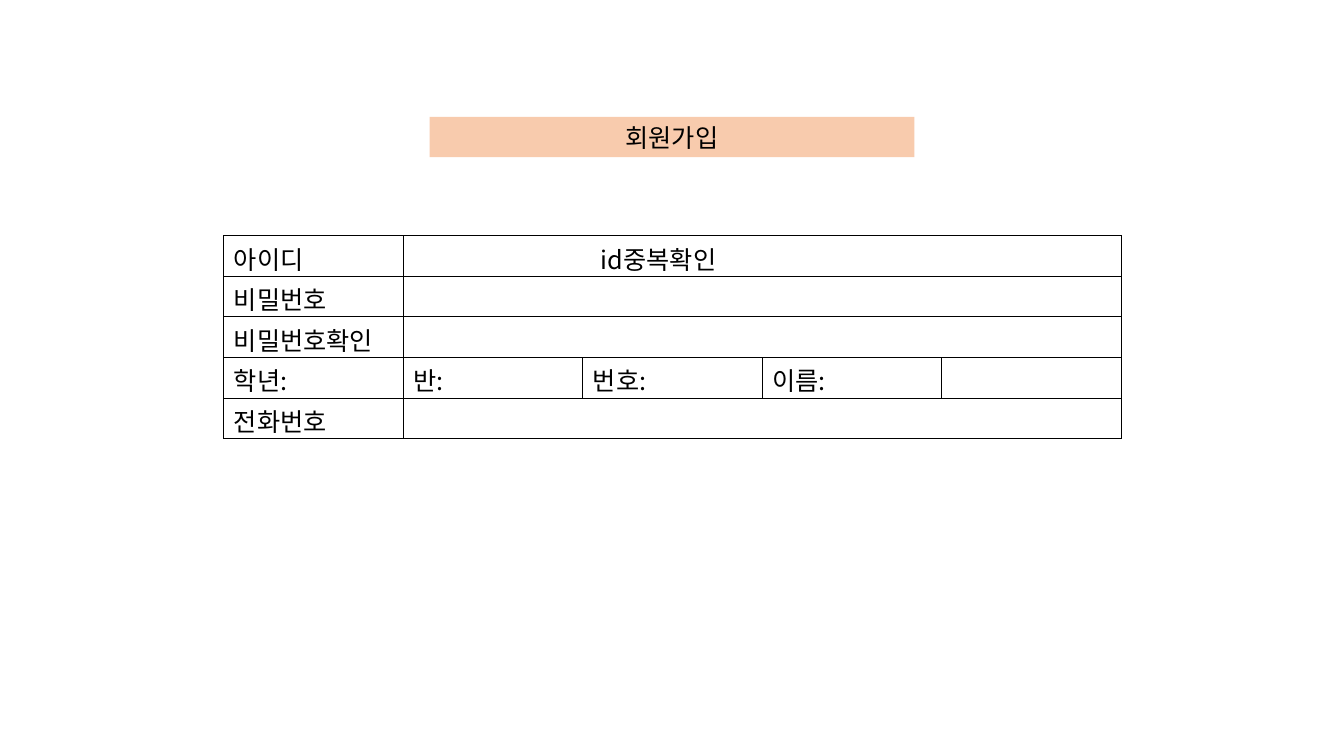
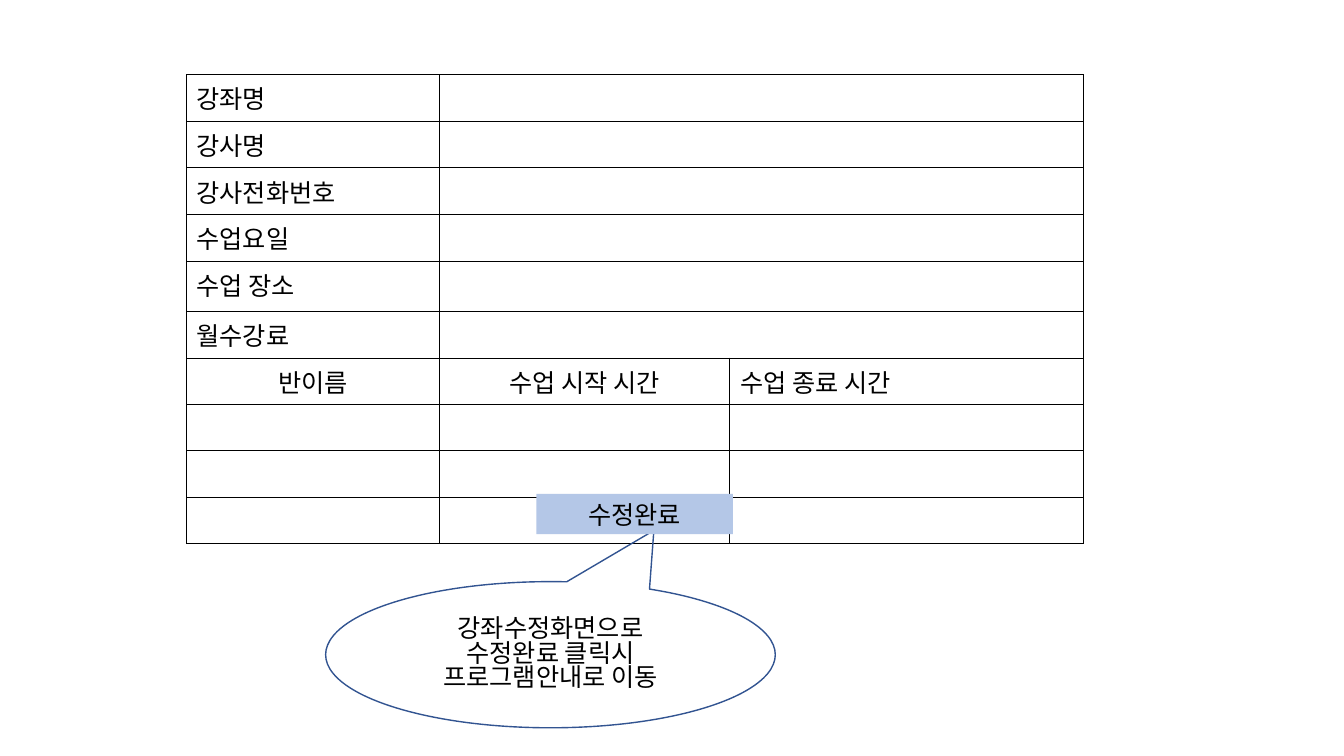
from dataclasses import dataclass

from lxml.etree import SubElement
from pptx import Presentation
from pptx.dml.color import RGBColor
from pptx.enum.shapes import MSO_SHAPE
from pptx.enum.text import MSO_ANCHOR, PP_ALIGN
from pptx.oxml import parse_xml
from pptx.oxml.ns import nsdecls, qn
from pptx.util import Emu, Pt

EMU_PER_PX = 9144


def px(length):
    return Emu(length * EMU_PER_PX)


@dataclass(frozen=True)
class Theme:
    font: str = "Noto Sans CJK KR"
    size: int = 18
    ink: str = "000000"
    peach: str = "F8CBAD"
    sky: str = "B4C7E7"
    outline: str = "325491"
    outline_width: float = 1
    border_width: float = 0.75
    callout_spacing: float = 0.82


class FormDeck:
    def __init__(self, theme):
        self.theme = theme
        self.presentation = Presentation()
        self.presentation.slide_width = px(1333)
        self.presentation.slide_height = px(750)
        self.slide = None

    def add_slide(self):
        self.slide = self.presentation.slides.add_slide(self.presentation.slide_layouts[6])

    def add_text(self, paragraph, text, align=PP_ALIGN.LEFT):
        paragraph.alignment = align
        run = paragraph.add_run()
        run.text = text
        run.font.name = self.theme.font
        run.font.size = Pt(self.theme.size)
        run.font.color.rgb = RGBColor.from_string(self.theme.ink)
        east_asian = SubElement(run.font._element, qn("a:ea"))
        east_asian.set("typeface", self.theme.font)

    def add_shape(self, kind, left, top, width, height, lines):
        shape = self.slide.shapes.add_shape(kind, px(left), px(top), px(width), px(height))
        shape.shadow.inherit = False
        frame = shape.text_frame
        frame.word_wrap = True
        frame.vertical_anchor = MSO_ANCHOR.MIDDLE
        for index, line in enumerate(lines):
            paragraph = frame.add_paragraph() if index else frame.paragraphs[0]
            self.add_text(paragraph, line, PP_ALIGN.CENTER)
        return shape

    def add_bar(self, left, top, width, text, color):
        shape = self.add_shape(MSO_SHAPE.RECTANGLE, left, top, width, 40, [text])
        shape.fill.solid()
        shape.fill.fore_color.rgb = RGBColor.from_string(color)
        shape.line.fill.background()
        shape.text_frame.margin_top = shape.text_frame.margin_bottom = 0

    def add_callout(self, left, top, width, height, lines, tip):
        shape = self.add_shape(MSO_SHAPE.OVAL_CALLOUT, left, top, width, height, lines)
        shape.adjustments[0], shape.adjustments[1] = tip
        shape.fill.background()
        shape.line.color.rgb = RGBColor.from_string(self.theme.outline)
        shape.line.width = Pt(self.theme.outline_width)
        for paragraph in shape.text_frame.paragraphs:
            paragraph.line_spacing = self.theme.callout_spacing

    def add_borders(self, cell):
        properties = cell._tc.get_or_add_tcPr()
        for index, side in enumerate(("lnL", "lnR", "lnT", "lnB")):
            properties.insert(index, parse_xml(
                f'<a:{side} {nsdecls("a")} w="{Pt(self.theme.border_width)}"><a:solidFill>'
                f'<a:srgbClr val="{self.theme.ink}"/></a:solidFill></a:{side}>'))

    def add_form(self, left, top, widths, heights, rows, margins=(5, 5), centered=()):
        frame = self.slide.shapes.add_table(
            len(rows), len(widths), px(left), px(top), px(sum(widths)), px(sum(heights)))
        table = frame.table
        table.first_row = table.horz_banding = False
        for column, width in zip(table.columns, widths):
            column.width = px(width)
        for row_index, (height, texts) in enumerate(zip(heights, rows)):
            table.rows[row_index].height = px(height)
            for column_index in range(len(widths)):
                cell = table.cell(row_index, column_index)
                cell.fill.background()
                self.add_borders(cell)
                cell.margin_top, cell.margin_bottom = map(px, margins)
                text = texts[column_index] if column_index < len(texts) else ""
                if text:
                    middle = (row_index, column_index) in centered
                    self.add_text(cell.text_frame.paragraphs[0], text,
                                  PP_ALIGN.CENTER if middle else PP_ALIGN.LEFT)
            if len(texts) < len(widths):
                table.cell(row_index, 1).merge(table.cell(row_index, len(widths) - 1))
        return table


def add_sign_up(deck):
    deck.add_slide()
    deck.add_bar(426, 116, 481, "회원가입", deck.theme.peach)
    rows = [
        ["아이디", "id중복확인"],
        ["비밀번호"],
        ["비밀번호확인"],
        ["학년:", "반:", "번호:", "이름:", ""],
        ["전화번호"],
    ]
    table = deck.add_form(222, 234, [178] * 5, [40] * len(rows), rows, margins=(4, 0))
    table.cell(0, 1).margin_left = px(196)


def add_course_edit(deck):
    deck.add_slide()
    labels = ["강좌명", "강사명", "강사전화번호", "수업요일", "수업 장소", "월수강료"]
    rows = [[label] for label in labels]
    rows.append(["반이름", "수업 시작 시간", "수업 종료 시간"])
    rows.extend([[""] * 3] * 3)
    heights = [50 if row == ["수업 장소"] else 46 for row in rows]
    deck.add_form(185, 74, [251, 288, 351], heights, rows, centered={(6, 0), (6, 1)})
    deck.add_callout(323, 577, 446, 145,
                     ["강좌수정화면으로", "수정완료 클릭시 프로그램안내로 이동"],
                     (0.23, -0.85))
    deck.add_bar(532, 490, 195, "수정완료", deck.theme.sky)


def main():
    deck = FormDeck(Theme())
    add_sign_up(deck)
    add_course_edit(deck)
    deck.presentation.save("out.pptx")


if __name__ == "__main__":
    main()
